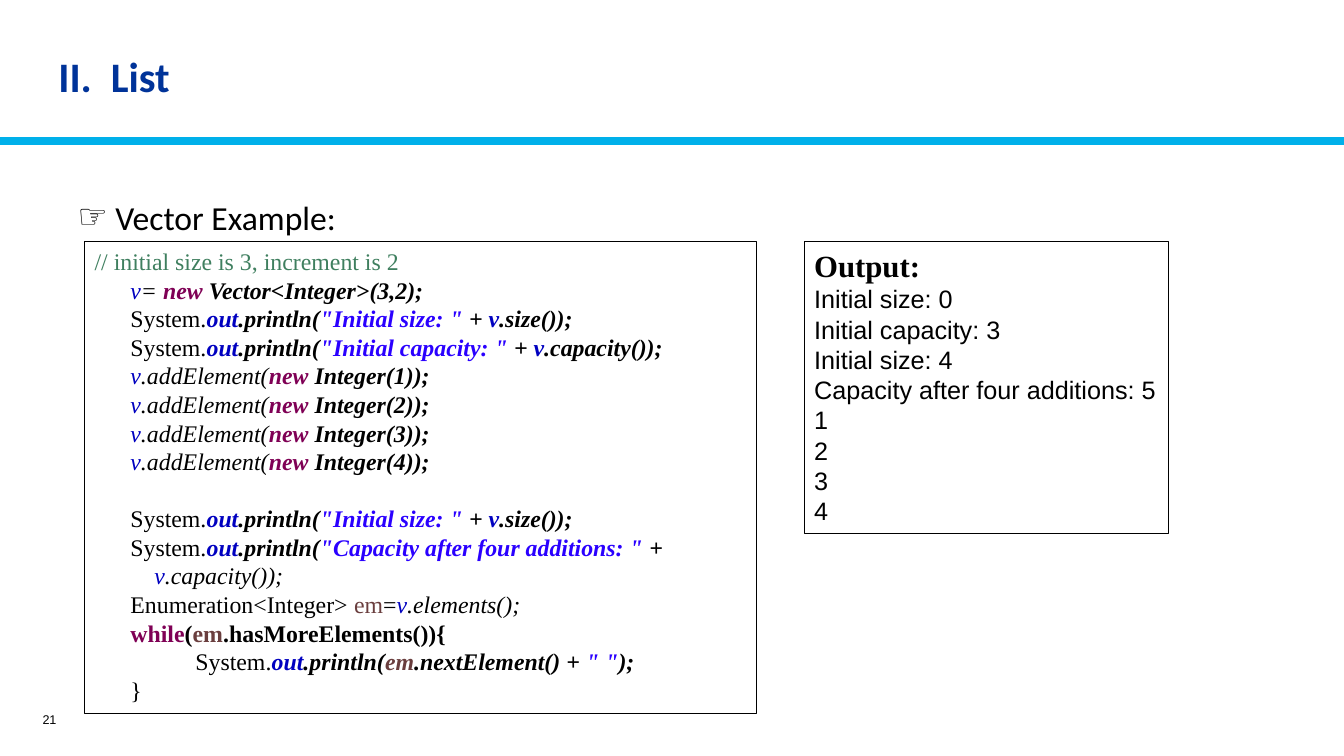
from lxml import etree
from pptx import Presentation
from pptx.dml.color import RGBColor
from pptx.enum.shapes import MSO_CONNECTOR, MSO_SHAPE
from pptx.enum.text import MSO_ANCHOR, MSO_AUTO_SIZE, PP_ALIGN
from pptx.oxml.ns import qn
from pptx.util import Pt

STRAIGHT = MSO_CONNECTOR.STRAIGHT
RECTANGLE = MSO_SHAPE.RECTANGLE
TOP, MIDDLE = MSO_ANCHOR.TOP, MSO_ANCHOR.MIDDLE
NO_FIT = MSO_AUTO_SIZE.NONE
LEFT, RIGHT = PP_ALIGN.LEFT, PP_ALIGN.RIGHT

BLACK = RGBColor(0x00, 0x00, 0x00)
NAVY = RGBColor(0x00, 0x33, 0x99)
CYAN = RGBColor(0x00, 0xB0, 0xEA)
COMMENT = RGBColor(0x3F, 0x7F, 0x5F)
FIELD = RGBColor(0x00, 0x00, 0xC0)
KEYWORD = RGBColor(0x7F, 0x00, 0x55)
STRING = RGBColor(0x2A, 0x00, 0xFF)
VARIABLE = RGBColor(0x6A, 0x3E, 0x3E)

SANS, HEADING, SERIF = "Arial", "Calibri", "Times New Roman"
INDENT = " " * 6
BOX_TOP = 172.8
TAB_STOP = 72


def println(*arguments, indent=INDENT):
    return [(indent + "System.", BLACK, ""), ("out", FIELD, "bi"),
            (".println(", BLACK, "bi"), *arguments]


def print_value(label, method):
    return println((label, STRING, "bi"), (" + ", BLACK, "bi"),
                   ("v", FIELD, "bi"), (f".{method}());", BLACK, "bi"))


def add_element(number):
    return [(INDENT, BLACK, ""), ("v", FIELD, "i"), (".addElement(", BLACK, "i"),
            ("new", KEYWORD, "bi"), (f" Integer({number}));", BLACK, "bi")]


TITLE = "II.  List"
BULLET, SUBTITLE = "☞", " Vector Example:"
PAGE_NUMBER = "21"
CODE = [
    [("// initial size is 3, increment is 2", COMMENT, "")],
    [(INDENT, BLACK, ""), ("v", FIELD, "i"), ("= ", BLACK, "i"),
     ("new", KEYWORD, "bi"), (" Vector<Integer>(3,2);", BLACK, "bi")],
    print_value('"Initial size: "', "size"),
    print_value('"Initial capacity: "', "capacity"),
    *[add_element(number) for number in range(1, 5)],
    [("     ", BLACK, "")],
    print_value('"Initial size: "', "size"),
    println(('"Capacity after four additions: "', STRING, "bi"), (" +", BLACK, "bi")),
    [("          ", BLACK, ""), ("v", FIELD, "i"), (".capacity());", BLACK, "i")],
    [(INDENT + "Enumeration<Integer> ", BLACK, ""), ("em", VARIABLE, ""),
     ("=", BLACK, ""), ("v", FIELD, "i"), (".elements();", BLACK, "i")],
    [(INDENT, BLACK, ""), ("while", KEYWORD, "b"), ("(", BLACK, "b"),
     ("em", VARIABLE, "b"), (".hasMoreElements()){", BLACK, "b")],
    println(("em", VARIABLE, "bi"), (".nextElement() + ", BLACK, "bi"),
            ('" "', STRING, "bi"), (");", BLACK, "bi"), indent=INDENT + "\t"),
    [(INDENT + "}", BLACK, "")],
]
OUTPUT_HEADING = "Output:"
OUTPUT = ["Initial size: 0", "Initial capacity: 3", "Initial size: 4",
          "Capacity after four additions: 5", "1", "2", "3", "4"]


def add_text(paragraph, text, font=SANS, size=18, color=BLACK, bold=False, italic=False):
    run = paragraph.add_run()
    run.text = text
    run.font.name = font
    run.font.size = Pt(size)
    run.font.color.rgb = color
    run.font.bold = bold
    run.font.italic = italic


def place(shape, left, top, width, height, anchor=TOP):
    shape.left, shape.top = Pt(left), Pt(top)
    shape.width, shape.height = Pt(width), Pt(height)
    frame = shape.text_frame
    frame.auto_size = NO_FIT
    frame.word_wrap = True
    frame.vertical_anchor = anchor
    paragraph = frame.paragraphs[0]
    paragraph.alignment = LEFT
    paragraph.space_before = Pt(0)
    return paragraph


def add_box(slide, left, width, height, line_count, wrap=True):
    box = slide.shapes.add_shape(RECTANGLE, 0, 0, 0, 0)
    box.shadow.inherit = False
    box.fill.background()
    box.line.color.rgb = BLACK
    box.line.width = Pt(0.75)
    place(box, left, BOX_TOP, width, height)
    frame = box.text_frame
    frame.word_wrap = wrap
    for _ in range(line_count - 1):
        frame.add_paragraph().alignment = LEFT
    return frame.paragraphs


def add_bullet(paragraph, character, indent):
    properties = paragraph._p.get_or_add_pPr()
    properties.set("marL", str(Pt(indent)))
    properties.set("indent", str(Pt(-indent)))
    color = etree.SubElement(properties, qn("a:buClr"))
    etree.SubElement(color, qn("a:srgbClr")).set("val", str(BLACK))
    etree.SubElement(properties, qn("a:buChar")).set("char", character)


def add_tab_stop(paragraph, position):
    tabs = etree.SubElement(paragraph._p.get_or_add_pPr(), qn("a:tabLst"))
    tab = etree.SubElement(tabs, qn("a:tab"))
    tab.set("pos", str(Pt(position)))
    tab.set("algn", "l")


def main():
    presentation = Presentation()
    presentation.slide_width, presentation.slide_height = Pt(960), Pt(540)
    slide = presentation.slides.add_slide(presentation.slide_layouts[1])

    rule = slide.shapes.add_connector(STRAIGHT, 0, Pt(100.8), Pt(960), Pt(100.8))
    rule.line.color.rgb = CYAN
    rule.line.width = Pt(6)
    etree.SubElement(rule._element.spPr, qn("a:effectLst"))

    title = place(slide.shapes.title, 34.5, 28.5, 649.5, 56, anchor=MIDDLE)
    title.line_spacing = 0.9
    add_text(title, TITLE, font=HEADING, size=30, color=NAVY, bold=True)

    subtitle = place(slide.placeholders[1], 48.25, 136.8, 867.5, 36)
    add_bullet(subtitle, BULLET, 16.5)
    add_text(subtitle, SUBTITLE, font=HEADING, size=24)

    code_lines = add_box(slide, 60.5, 480, 337, len(CODE))
    for paragraph, tokens in zip(code_lines, CODE):
        add_tab_stop(paragraph, TAB_STOP)
        for text, color, style in tokens:
            add_text(paragraph, text, font=SERIF, size=17, color=color,
                     bold="b" in style, italic="i" in style)

    heading, *output_lines = add_box(slide, 574.5, 260.5, 208, len(OUTPUT) + 1, wrap=False)
    add_text(heading, OUTPUT_HEADING, font=SERIF, size=22, bold=True)
    for paragraph, text in zip(output_lines, OUTPUT):
        add_text(paragraph, text)

    number_box = slide.shapes.add_textbox(0, 0, 0, 0)
    number = place(number_box, 6.5, 503.5, 41, 21.5, anchor=MIDDLE)
    number.alignment = RIGHT
    add_text(number, PAGE_NUMBER, size=9)

    presentation.save("out.pptx")


if __name__ == "__main__":
    main()
